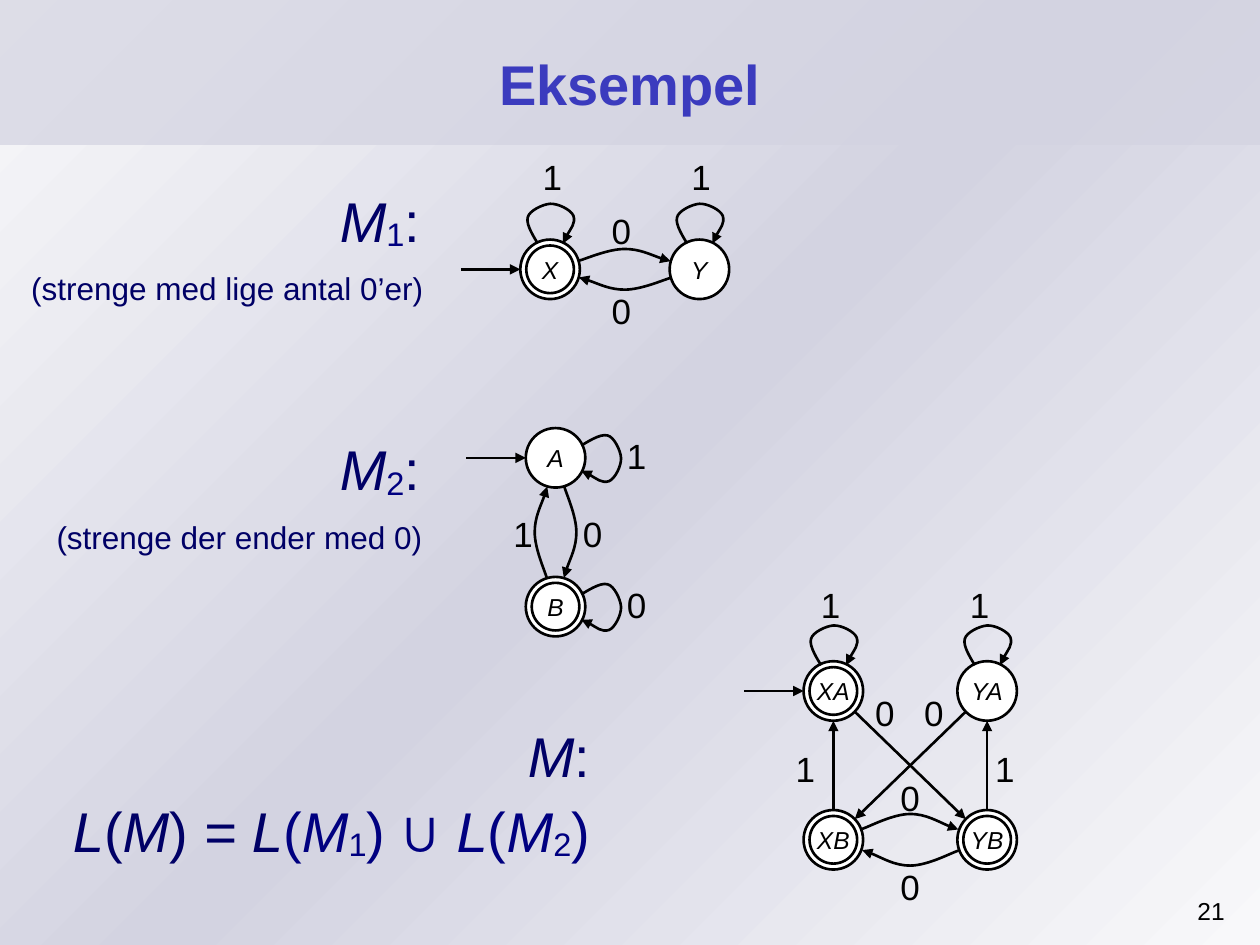
from copy import deepcopy
from math import hypot

from lxml.etree import SubElement
from pptx import Presentation
from pptx.dml.color import RGBColor
from pptx.enum.shapes import MSO_CONNECTOR, MSO_SHAPE
from pptx.enum.text import MSO_ANCHOR, MSO_AUTO_SIZE, PP_ALIGN
from pptx.oxml.ns import qn
from pptx.util import Cm, Pt

COLORS = {"black": "000000", "white": "FFFFFF", "title": "3B3BBE", "dark": "000066",
          "navy": "000080", "pale": "F8F8FA", "lavender": "D3D3E1"}
RADIUS = 0.6
INNER_RADIUS = 0.48

# Loop above a state, relative to its centre: a start and four Bezier curves
LOOP = [(-0.25, -0.52),
        (-0.29, -0.6), (-0.5, -0.9), (-0.45, -1.05),
        (-0.42, -1.18), (-0.15, -1.31), (0, -1.32),
        (0.16, -1.33), (0.42, -1.2), (0.47, -1.08),
        (0.52, -0.93), (0.3, -0.65), (0.26, -0.52)]

# Name: (x, y, accepting)
STATES = {"X": (11.09, 5.43, True), "Y": (14.1, 5.43, False),
          "A": (11.2, 9.23, False), "B": (11.2, 12.23, True),
          "XA": (16.8, 13.93, True), "YA": (19.9, 13.93, False),
          "XB": (16.8, 16.93, True), "YB": (19.9, 16.93, True)}
START_STATES = ["X", "A", "XA"]
TOP_LOOPS = ["X", "Y", "XA", "YA"]
RIGHT_LOOPS = ["A", "B"]
ARCS = [("X", "Y", 0.41), ("Y", "X", 0.41), ("A", "B", 0.42), ("B", "A", 0.42),
        ("XB", "YB", 0.52), ("YB", "XB", 0.52)]
STRAIGHT = [("XA", "YB"), ("YA", "XB"), ("XB", "XA"), ("YB", "YA")]
SYMBOLS = {
    "0": [(12.53, 4.61), (12.53, 6.24), (11.95, 10.73), (12.84, 12.15),
          (17.84, 14.34), (18.83, 14.34), (18.35, 16.04), (18.35, 17.84)],
    "1": [(11.14, 3.54), (14.14, 3.54), (12.84, 9.16), (10.55, 10.73),
          (16.75, 12.15), (19.75, 12.15), (16.24, 15.46), (20.26, 15.46)],
}


def rgb(name):
    return RGBColor.from_string(COLORS[name])


def add_run(paragraph, text, size, color="black", italic=False, bold=False, subscript=False):
    run = paragraph.add_run()
    run.text = text
    font = run.font
    font.name, font.size, font.italic, font.bold = "Arial", Pt(size), italic, bold
    font.color.rgb = rgb(color)
    if subscript:
        run._r.get_or_add_rPr().set("baseline", "-8000")


def add_text(slide, left, top, width, height, runs, size, align=PP_ALIGN.LEFT, wrap=False):
    """Each run is (text, colour, style); style is "", "italic" or "subscript"."""
    frame = slide.shapes.add_textbox(Cm(left), Cm(top), Cm(width), Cm(height)).text_frame
    frame.word_wrap = wrap
    frame.auto_size = MSO_AUTO_SIZE.NONE if wrap else MSO_AUTO_SIZE.SHAPE_TO_FIT_TEXT
    paragraph = frame.paragraphs[0]
    paragraph.alignment = align
    for text, color, style in runs:
        add_run(paragraph, text, size, color,
                italic=style == "italic", subscript=style == "subscript")


def set_outline(shape, arrow=False):
    shape.line.color.rgb = rgb("black")
    shape.line.width = Pt(1.5)
    if arrow:
        outline = shape.element.spPr.find(qn("a:ln"))
        SubElement(outline, qn("a:tailEnd"), type="triangle")


def add_circle(slide, x, y, radius):
    circle = slide.shapes.add_shape(MSO_SHAPE.OVAL, Cm(x - radius), Cm(y - radius),
                                    Cm(2 * radius), Cm(2 * radius))
    circle.shadow.inherit = False
    set_outline(circle)
    return circle


def add_state(slide, name, x, y, accepting):
    circle = add_circle(slide, x, y, RADIUS)
    circle.fill.solid()
    circle.fill.fore_color.rgb = rgb("white")
    frame = circle.text_frame
    frame.word_wrap = False
    frame.margin_left = frame.margin_right = frame.margin_top = frame.margin_bottom = 0
    frame.vertical_anchor = MSO_ANCHOR.MIDDLE
    frame.paragraphs[0].alignment = PP_ALIGN.CENTER
    add_run(frame.paragraphs[0], name, 14, italic=True)
    if accepting:
        add_circle(slide, x, y, INNER_RADIUS).fill.background()


def add_arrow(slide, x1, y1, x2, y2):
    arrow = slide.shapes.add_connector(MSO_CONNECTOR.STRAIGHT, Cm(x1), Cm(y1), Cm(x2), Cm(y2))
    set_outline(arrow, arrow=True)
    SubElement(arrow.element.spPr, qn("a:effectLst"))


def add_curve(slide, points):
    """Draw an arrow along Bezier curves: a start, then three points per curve."""
    points = [(Cm(x), Cm(y)) for x, y in points]
    builder = slide.shapes.build_freeform(*points[0])
    builder.add_line_segments(points[1:], close=False)
    curve = builder.convert_to_shape()
    outline = next(curve.element.iter(qn("a:path")))
    segments = outline.findall(qn("a:lnTo"))
    for first in range(0, len(segments), 3):
        bezier = SubElement(outline, qn("a:cubicBezTo"))
        for segment in segments[first:first + 3]:
            bezier.append(segment[0])
            outline.remove(segment)
    curve.shadow.inherit = False
    curve.fill.background()
    set_outline(curve, arrow=True)


def direction(source, target):
    """Return the centre of the source, the unit vector to the target and the distance."""
    x1, y1, _ = STATES[source]
    x2, y2, _ = STATES[target]
    distance = hypot(x2 - x1, y2 - y1)
    return x1, y1, (x2 - x1) / distance, (y2 - y1) / distance, distance


def add_straight_edge(slide, source, target):
    x, y, ux, uy, distance = direction(source, target)
    end = distance - RADIUS
    add_arrow(slide, x + RADIUS * ux, y + RADIUS * uy, x + end * ux, y + end * uy)


def add_arc(slide, source, target, rise):
    """Bend an edge to the left of its direction of travel."""
    x, y, ux, uy, distance = direction(source, target)
    half = distance / 2 - 0.58
    profile = [(-1, 0.42), (-0.84, 0.52), (-0.36, 1), (0, 1), (0.33, 1), (0.76, 0.52), (1, 0.4)]
    points = []
    for position, height in profile:
        along, across = distance / 2 + half * position, rise * height
        points.append((x + along * ux + across * uy, y + along * uy - across * ux))
    add_curve(slide, points)


def add_automata(slide):
    for name, state in STATES.items():
        add_state(slide, name, *state)
    for name in START_STATES:
        x, y, _ = STATES[name]
        add_arrow(slide, x - 3 * RADIUS, y, x - RADIUS, y)
    for name in TOP_LOOPS:
        x, y, _ = STATES[name]
        add_curve(slide, [(x + dx, y + dy) for dx, dy in LOOP])
    for name in RIGHT_LOOPS:
        x, y, _ = STATES[name]
        add_curve(slide, [(x - dy, y + dx) for dx, dy in LOOP])
    for arc in ARCS:
        add_arc(slide, *arc)
    for edge in STRAIGHT:
        add_straight_edge(slide, *edge)
    for symbol, centres in SYMBOLS.items():
        for x, y in centres:
            add_text(slide, x - 0.45, y - 0.52, 0.9, 1.04, [(symbol, "black", "")], 20)


def add_backdrop(slide, height):
    """Add a plain full-width rectangle behind the title and return it."""
    backdrop = slide.shapes.add_shape(MSO_SHAPE.RECTANGLE, 0, 0, Cm(25.4), Cm(height))
    backdrop.shadow.inherit = False
    backdrop.line.fill.background()
    slide.shapes.title.element.addprevious(backdrop.element)
    return backdrop


def add_background(slide):
    fill = add_backdrop(slide, 19.05).fill
    fill.gradient()
    fill.gradient_angle = 135
    first = fill.gradient_stops[0]._gs
    first.addnext(deepcopy(first))
    for stop, position, color in zip(fill.gradient_stops, (0, 0.5, 1),
                                     ("pale", "lavender", "pale")):
        stop.position = position
        stop.color.rgb = rgb(color)
    band = add_backdrop(slide, 2.92)
    band.fill.solid()
    band.fill.fore_color.rgb = rgb("lavender")
    color = next(band.element.spPr.iter(qn("a:srgbClr")))
    SubElement(color, qn("a:alpha"), val="72000")


def add_title(slide, text):
    title = slide.shapes.title
    title.left, title.top, title.width, title.height = Cm(1.27), Cm(0.43), Cm(22.86), Cm(2.51)
    title.text_frame.vertical_anchor = MSO_ANCHOR.MIDDLE
    paragraph = title.text_frame.paragraphs[0]
    paragraph.alignment = PP_ALIGN.CENTER
    add_run(paragraph, text, 32, "title", bold=True)


def add_captions(slide):
    for number, top in (("1", 3.63), ("2", 8.64)):
        add_text(slide, 6.6, top, 2.13, 1.52, [
            ("M", "dark", "italic"), (number, "navy", "subscript"), (":", "dark", "")], 32)
    add_text(slide, 0.38, 5.3, 8.45, 0.97, [("(strenge med lige antal 0’er)", "dark", "")], 18)
    add_text(slide, 0.89, 10.31, 7.95, 0.97, [("(strenge der ender med 0)", "dark", "")], 18)
    add_text(slide, 10.39, 14.43, 1.8, 1.52, [("M", "dark", "italic"), (":", "dark", "")], 32)
    add_text(slide, 1.22, 15.93, 11.02, 1.52, [
        ("L", "dark", "italic"), ("(", "dark", ""), ("M", "dark", "italic"), (")", "dark", ""),
        (" = L", "dark", "italic"), ("(", "navy", ""), ("M", "navy", "italic"),
        ("1", "navy", "subscript"), (") ∪ ", "navy", ""), ("L", "navy", "italic"),
        ("(", "navy", ""), ("M", "navy", "italic"), ("2", "navy", "subscript"),
        (")", "navy", "")], 32)
    add_text(slide, 22.91, 17.93, 2.03, 0.99, [("21", "black", "")], 14, PP_ALIGN.RIGHT, wrap=True)


def main():
    presentation = Presentation()
    presentation.slide_width, presentation.slide_height = Cm(25.4), Cm(19.05)
    slide = presentation.slides.add_slide(presentation.slide_layouts[5])
    add_background(slide)
    add_title(slide, "Eksempel")
    add_captions(slide)
    add_automata(slide)
    presentation.save("out.pptx")


if __name__ == "__main__":
    main()
